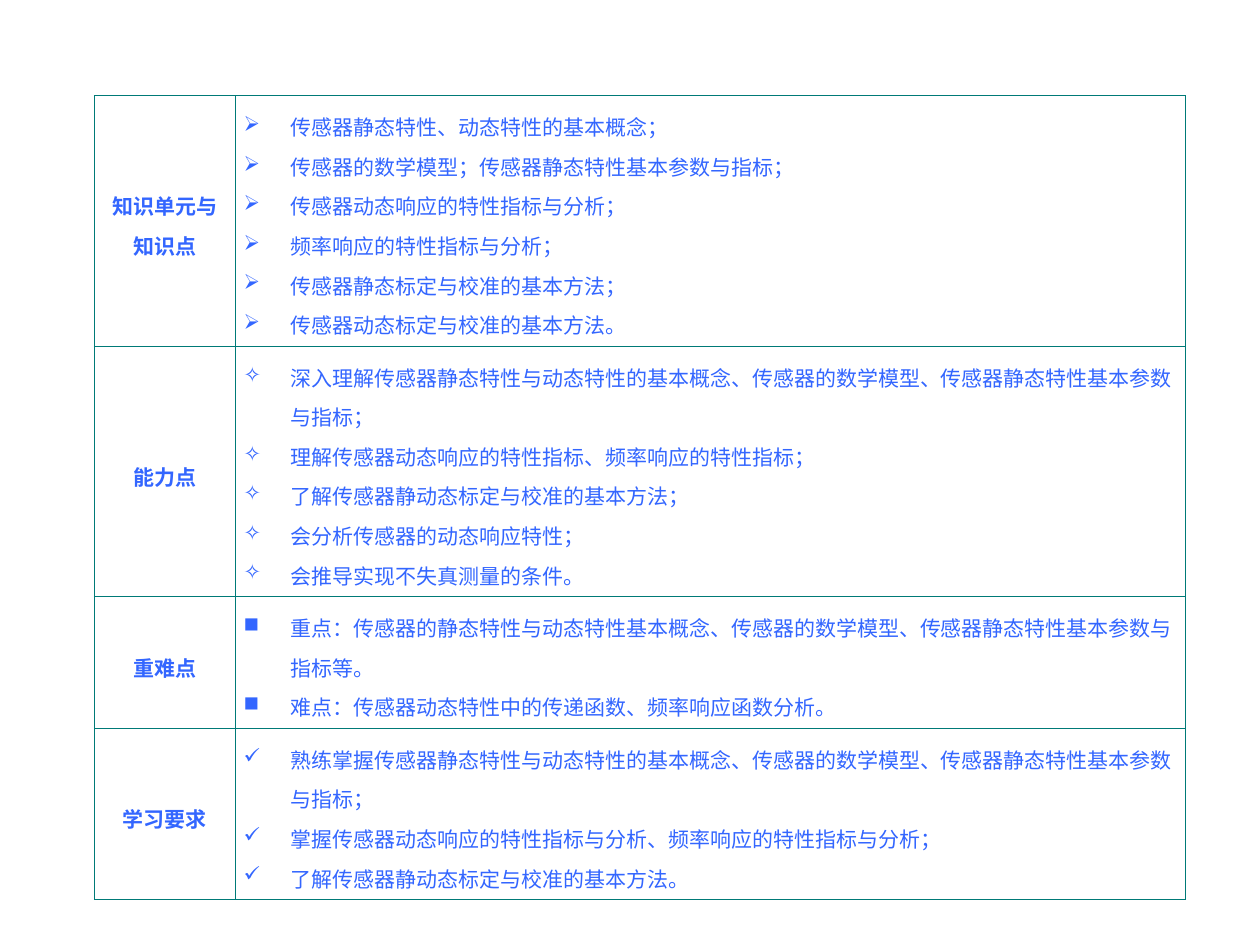
import pptx
import pptx.dml.color
import pptx.enum.text
import pptx.oxml.ns
import pptx.util
from lxml import etree

Cm = pptx.util.Cm
Pt = pptx.util.Pt
ALIGN = pptx.enum.text.PP_ALIGN
FONT = "Noto Sans CJK SC"
BLUE = "3366FF"
TEAL = "007A77"
COLUMN_WIDTHS = [2.84, 19.15]
SECTIONS = [
    ("知识单元与知识点", 4.8, "➢", ALIGN.JUSTIFY, [
        "传感器静态特性、动态特性的基本概念；",
        "传感器的数学模型；传感器静态特性基本参数与指标；",
        "传感器动态响应的特性指标与分析；",
        "频率响应的特性指标与分析；",
        "传感器静态标定与校准的基本方法；",
        "传感器动态标定与校准的基本方法。",
    ]),
    ("能力点", 4.8, "✧", ALIGN.LEFT, [
        "深入理解传感器静态特性与动态特性的基本概念、传感器的数学模型、传感器静态特性基本参数与指标；",
        "理解传感器动态响应的特性指标、频率响应的特性指标；",
        "了解传感器静动态标定与校准的基本方法；",
        "会分析传感器的动态响应特性；",
        "会推导实现不失真测量的条件。",
    ]),
    ("重难点", 2.4, "■", ALIGN.LEFT, [
        "重点：传感器的静态特性与动态特性基本概念、传感器的数学模型、传感器静态特性基本参数与指标等。",
        "难点：传感器动态特性中的传递函数、频率响应函数分析。",
    ]),
    ("学习要求", 3.2, "✓", ALIGN.LEFT, [
        "熟练掌握传感器静态特性与动态特性的基本概念、传感器的数学模型、传感器静态特性基本参数与指标；",
        "掌握传感器动态响应的特性指标与分析、频率响应的特性指标与分析；",
        "了解传感器静动态标定与校准的基本方法。",
    ]),
]


def color(value):
    return pptx.dml.color.RGBColor.from_string(value)


def add_element(parent, tag, **attributes):
    return etree.SubElement(parent, pptx.oxml.ns.qn(tag), attributes)


def set_borders(cell):
    properties = cell._tc.get_or_add_tcPr()
    for position, side in enumerate(("a:lnL", "a:lnR", "a:lnT", "a:lnB")):
        line = add_element(properties, side, w=str(Pt(0.45)))
        fill = add_element(line, "a:solidFill")
        add_element(fill, "a:srgbClr", val=TEAL)
        properties.insert(position, line)


def add_bullet(para, symbol):
    properties = para._p.get_or_add_pPr()
    properties.set("marL", str(Cm(0.95)))
    properties.set("indent", str(-Cm(0.95)))
    bullet_color = add_element(properties, "a:buClr")
    add_element(bullet_color, "a:srgbClr", val=BLUE)
    add_element(properties, "a:buChar", char=symbol)


def format_para(para, alignment, bold):
    para.alignment = alignment
    para.line_spacing = 1.3
    for span in para.runs:
        span.font.size = Pt(12)
        span.font.name = FONT
        span.font.bold = bold
        span.font.color.rgb = color(BLUE)
        add_element(span._r.get_or_add_rPr(), "a:ea", typeface=FONT)


def fill_cell(cell, lines, alignment, bold=False, symbol=None):
    cell.fill.background()
    set_borders(cell)
    cell.vertical_anchor = pptx.enum.text.MSO_ANCHOR.MIDDLE
    cell.margin_left = cell.margin_right = Cm(0.17)
    cell.margin_top = cell.margin_bottom = Cm(0.13)
    cell.text_frame.text = "\n".join(lines)
    for para in cell.text_frame.paragraphs:
        if symbol:
            add_bullet(para, symbol)
        format_para(para, alignment, bold)


def add_outline_table(page):
    height = sum(section[1] for section in SECTIONS)
    frame = page.shapes.add_table(len(SECTIONS), 2, Cm(1.9), Cm(1.93),
                                  Cm(sum(COLUMN_WIDTHS)), Cm(height))
    table = frame.table
    table.first_row = table.horz_banding = False
    for column, width in zip(table.columns, COLUMN_WIDTHS):
        column.width = Cm(width)
    for index, (title, row_height, symbol, alignment, points) in enumerate(SECTIONS):
        table.rows[index].height = Cm(row_height)
        fill_cell(table.cell(index, 0), [title], ALIGN.CENTER, bold=True)
        fill_cell(table.cell(index, 1), points, alignment, symbol=symbol)


def main():
    """Build the chapter outline slide and save it."""
    deck = pptx.Presentation()
    deck.slide_width = Cm(25.4)
    deck.slide_height = Cm(19.05)
    page = deck.slides.add_slide(deck.slide_layouts[6])
    add_outline_table(page)
    deck.save("out.pptx")


if __name__ == "__main__":
    main()
